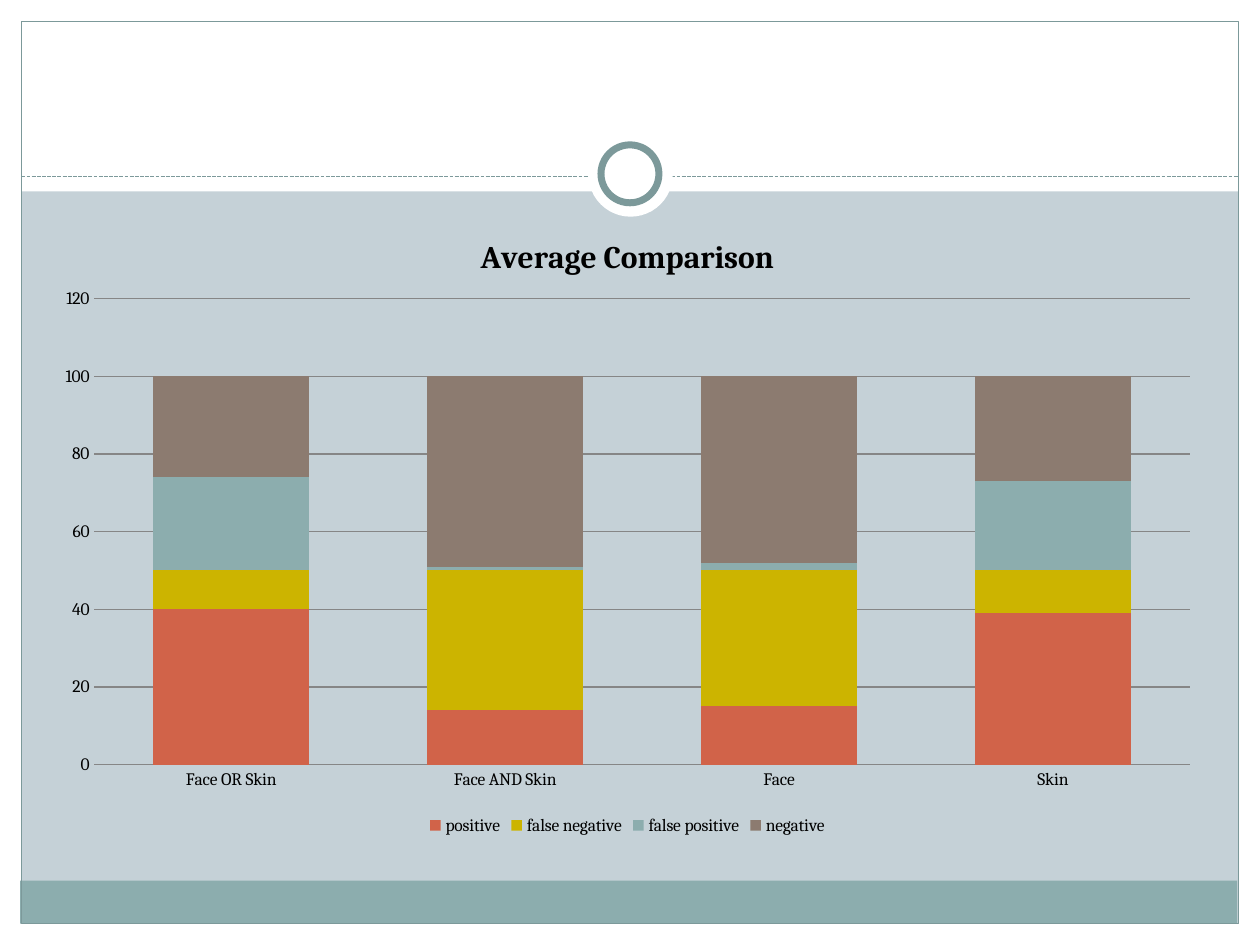
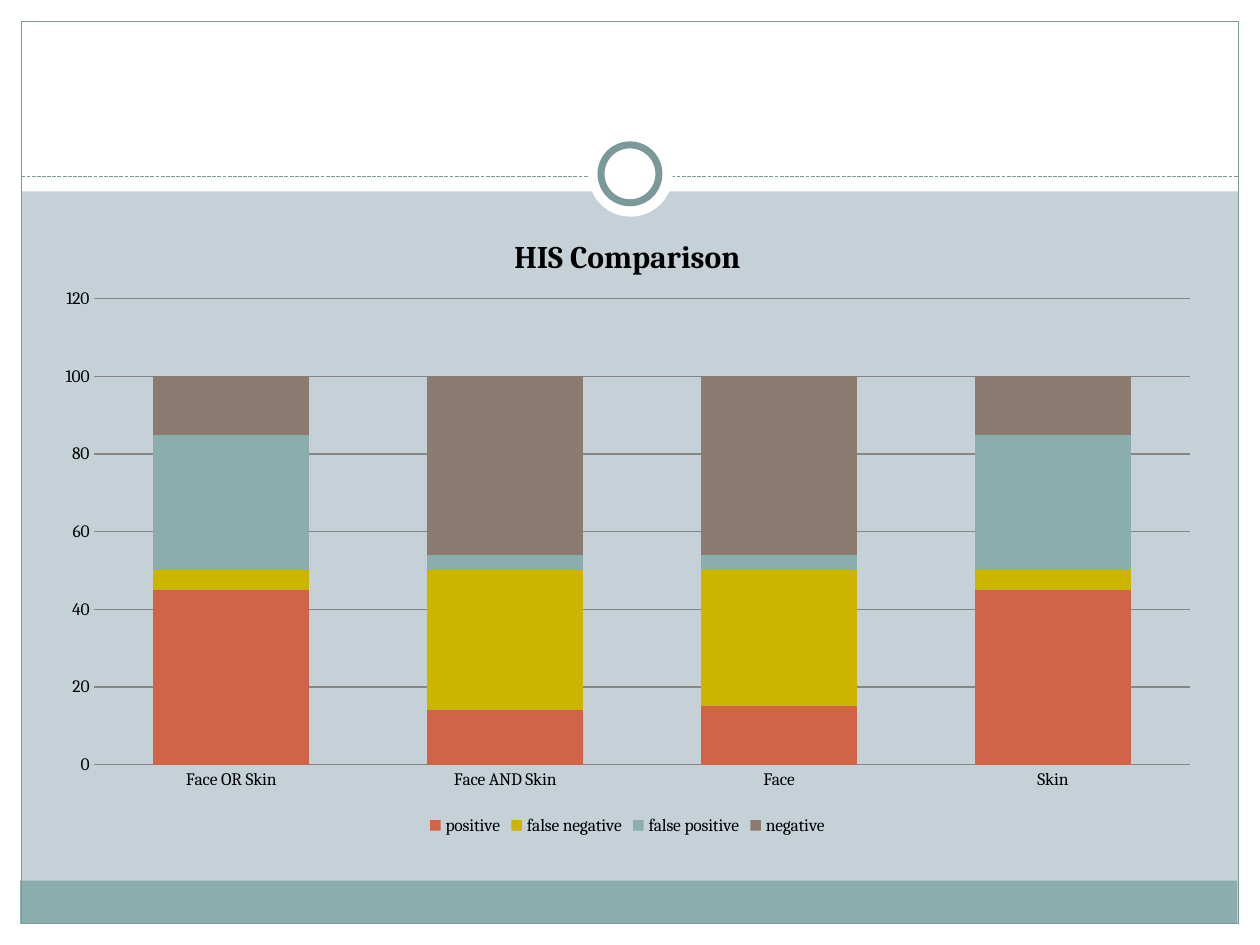
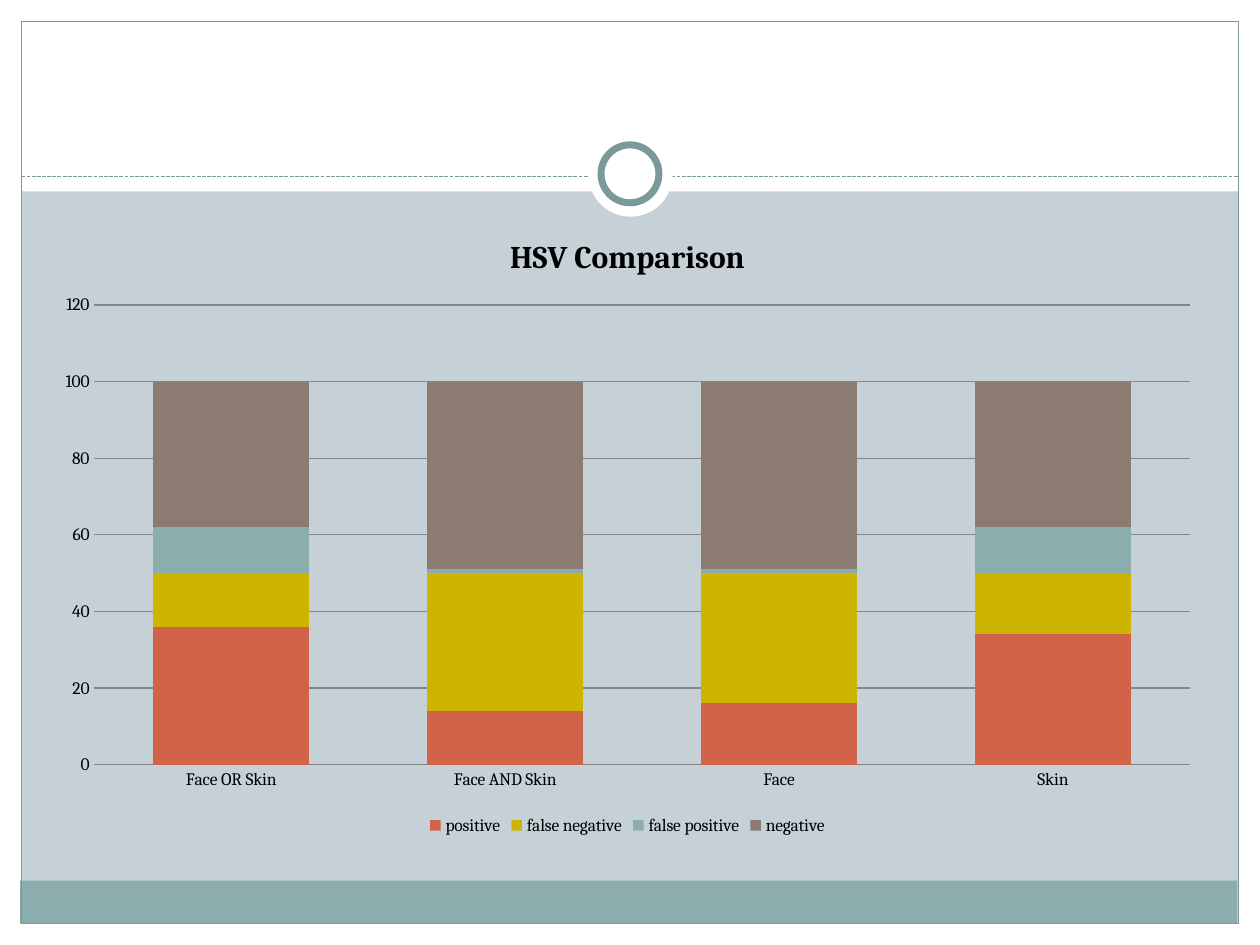
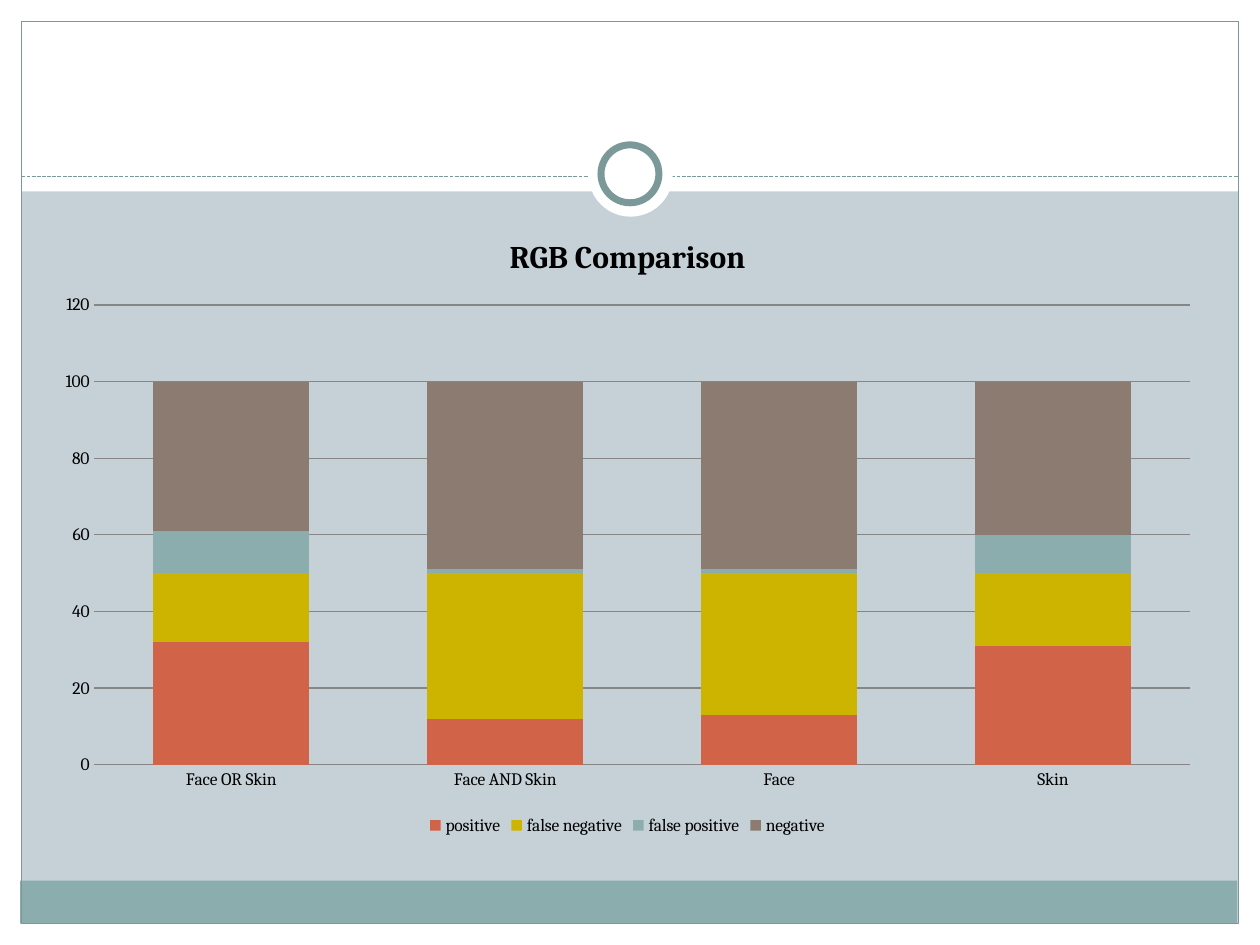
from lxml import etree
from pptx import Presentation
from pptx import util as u
from pptx.chart import data
from pptx.dml.color import RGBColor
from pptx.enum import chart as ch
from pptx.enum import dml, shapes
from pptx.oxml import ns

PX = 9144
WHITE = RGBColor(0xFF, 0xFF, 0xFF)
BLACK = RGBColor(0x00, 0x00, 0x00)
MIST = RGBColor(0xC5, 0xD1, 0xD7)
TEAL = RGBColor(0x8C, 0xAD, 0xAE)
EDGE = RGBColor(0x7C, 0x99, 0x9A)
GRID = RGBColor(0x86, 0x86, 0x86)
RED = RGBColor(0xD1, 0x63, 0x49)
GOLD = RGBColor(0xCC, 0xB4, 0x00)
BROWN = RGBColor(0x8C, 0x7B, 0x70)

RECT = shapes.MSO_SHAPE.RECTANGLE
OVAL = shapes.MSO_SHAPE.OVAL
GROUPS = ["Face OR Skin", "Face AND Skin", "Face", "Skin"]
SERIES = [("positive", RED), ("false negative", GOLD),
          ("false positive", TEAL), ("negative", BROWN)]

CHARTS = [
    ("Average Comparison", 0.14, [[40, 14, 15, 39], [10, 36, 35, 11],
                                  [24, 1, 2, 23], [26, 49, 48, 27]]),
    ("HIS Comparison", 0.14, [[45, 14, 15, 45], [5, 36, 35, 5],
                              [35, 4, 4, 35], [15, 46, 46, 15]]),
    ("HSV Comparison", 0.15, [[36, 14, 16, 34], [14, 36, 34, 16],
                              [12, 1, 1, 12], [38, 49, 49, 38]]),
    ("RGB Comparison", 0.15, [[32, 12, 13, 31], [18, 38, 37, 19],
                              [11, 1, 1, 10], [39, 49, 49, 40]]),
]


class Deck:
    font = "Cambria"

    def __init__(self, wide, high):
        self.prs = Presentation()
        self.prs.slide_width = wide * PX
        self.prs.slide_height = high * PX

    def page(self):
        self.slide = self.prs.slides.add_slide(self.prs.slide_layouts[6])
        back = self.slide.background.fill
        back.solid()
        back.fore_color.rgb = MIST

    def shape(self, kind, box, fill=None, line=None, width=0.75):
        item = self.slide.shapes.add_shape(kind, *(n * PX for n in box))
        item.shadow.inherit = False
        if fill is None:
            item.fill.background()
        else:
            item.fill.solid()
            item.fill.fore_color.rgb = fill
        if line is None:
            item.line.fill.background()
        else:
            item.line.color.rgb = line
            item.line.width = u.Pt(width)

    def rule(self, left, right, y):
        line = self.slide.shapes.add_connector(
            shapes.MSO_CONNECTOR.STRAIGHT, left * PX, y * PX, right * PX, y * PX)
        line.line.color.rgb = EDGE
        line.line.width = u.Pt(0.75)
        line.line.dash_style = dml.MSO_LINE.SQUARE_DOT
        etree.SubElement(line._element.spPr, ns.qn("a:effectLst"))

    def frame(self):
        for box in [(0, 733, 1000, 17), (0, 0, 1000, 152),
                    (0, 0, 17, 750), (983, 0, 17, 750)]:
            self.shape(RECT, box, WHITE)
        self.shape(RECT, (16, 699, 966, 34), TEAL)
        self.shape(RECT, (17, 17, 966, 716), line=EDGE)
        self.rule(17, 983, 140)
        self.shape(OVAL, (467, 105, 67, 67), WHITE)
        self.shape(OVAL, (477, 115, 46, 46), WHITE, EDGE, 4)

    def type(self, font, size, bold=False):
        font.name = self.font
        font.size = u.Pt(size)
        font.bold = bold
        font.color.rgb = BLACK

    def place(self, chart, **spots):
        area = chart._chartSpace.chart.plotArea
        for old in area.findall(ns.qn("c:layout")):
            area.remove(old)
        layout = etree.Element(ns.qn("c:layout"))
        area.insert(0, layout)
        manual = etree.SubElement(layout, ns.qn("c:manualLayout"))
        marks = dict(layoutTarget="inner", xMode="edge", yMode="edge", **spots)
        for name, val in marks.items():
            etree.SubElement(manual, ns.qn("c:" + name), val=str(val))

    def stack(self, box, title, top, rows):
        source = data.CategoryChartData(number_format="0")
        source.categories = GROUPS
        for (name, _), row in zip(SERIES, rows):
            source.add_series(name, row)
        chart = self.slide.shapes.add_chart(
            ch.XL_CHART_TYPE.COLUMN_STACKED, *(n * PX for n in box), source).chart
        self.type(chart.font, 10)
        chart.has_title = True
        head = chart.chart_title.text_frame
        head.text = title
        self.type(head.paragraphs[0].font, 18, True)
        chart.has_legend = True
        chart.legend.position = ch.XL_LEGEND_POSITION.BOTTOM
        chart.legend.include_in_layout = False
        plot = chart.plots[0]
        plot.gap_width, plot.overlap = 75, 100
        plot.vary_by_categories = False
        for bar, (_, color) in zip(plot.series, SERIES):
            bar.format.fill.solid()
            bar.format.fill.fore_color.rgb = color
        for axis in (chart.category_axis, chart.value_axis):
            axis.major_tick_mark = axis.minor_tick_mark = ch.XL_TICK_MARK.NONE
        chart.category_axis.format.line.color.rgb = GRID
        value = chart.value_axis
        value.minimum_scale, value.maximum_scale, value.major_unit = 0, 120, 20
        value.format.line.fill.background()
        value.has_major_gridlines = True
        value.major_gridlines.format.line.color.rgb = GRID
        self.place(chart, x=0.045, y=top, w=0.935, h=round(0.88 - top, 2))


def main():
    deck = Deck(1000, 750)
    for title, top, rows in CHARTS:
        deck.page()
        deck.frame()
        deck.stack((33, 167, 930, 500), title, top, rows)
    deck.prs.save("out.pptx")


if __name__ == "__main__":
    main()
